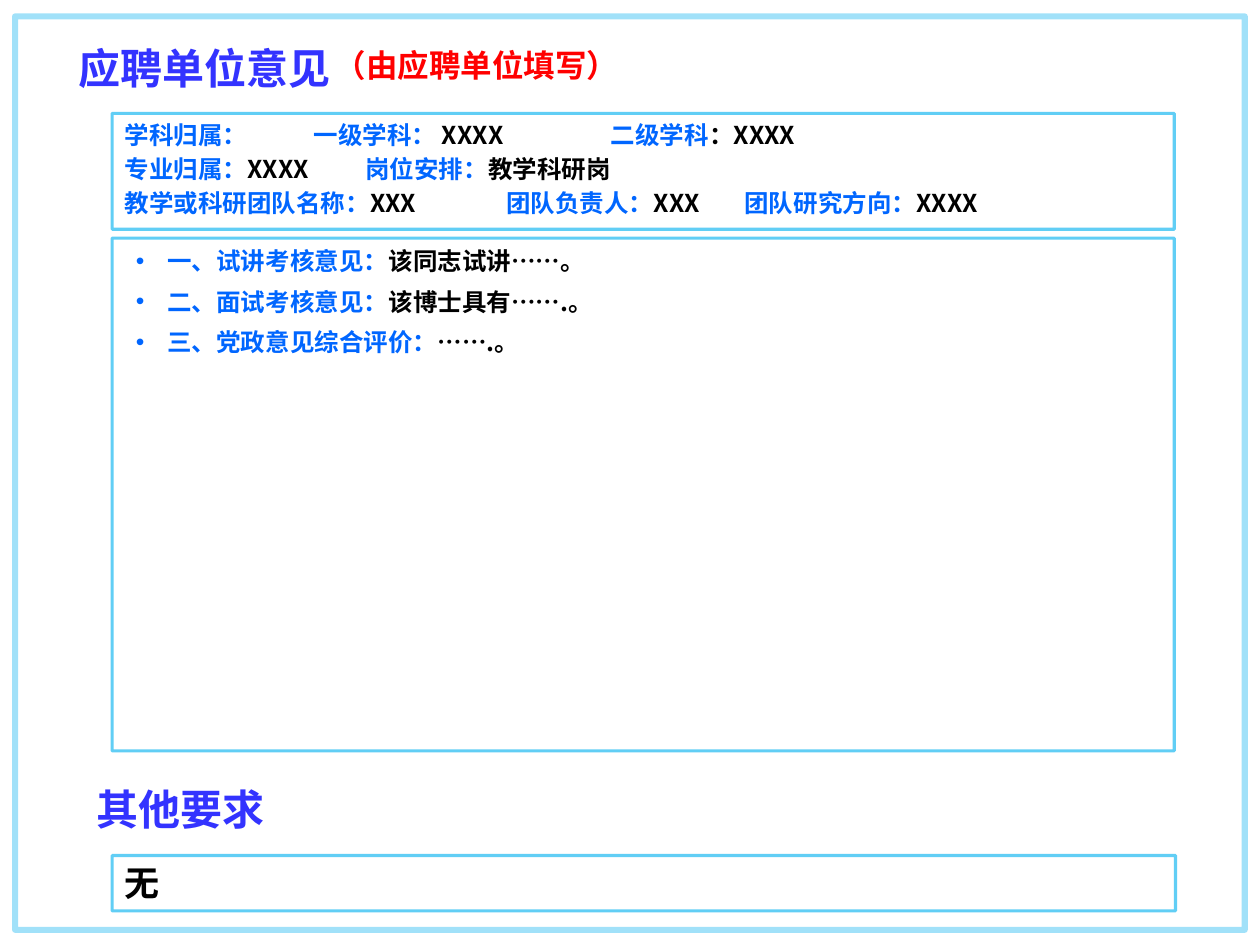
"""Build the slide with the hiring unit's opinion and other requirements."""
import pptx
import pptx.dml.color
import pptx.enum.shapes
import pptx.enum.text
import pptx.oxml.ns
import pptx.util
from lxml import etree

Inches = pptx.util.Inches
Pt = pptx.util.Pt
RGBColor = pptx.dml.color.RGBColor
qn = pptx.oxml.ns.qn
ALIGN = pptx.enum.text.PP_ALIGN
ANCHOR = pptx.enum.text.MSO_ANCHOR

INDIGO = RGBColor(0x33, 0x33, 0xFF)
RED = RGBColor(0xFF, 0x00, 0x00)
BLUE = RGBColor(0x00, 0x66, 0xFF)
BLACK = RGBColor(0x00, 0x00, 0x00)
BORDER = RGBColor(0x00, 0xB0, 0xF0)


class SlideBuilder:
    """Hold the style and the current slide."""

    font_name = "Noto Sans CJK SC"
    line_ratio = 1.2
    space_ratio = 0.2

    def __init__(self, presentation):
        self.slide = presentation.slides.add_slide(presentation.slide_layouts[5])

    def apply(self, target, values):
        for name, value in values.items():
            setattr(target, name, value)

    def place(self, shape, box):
        names = ("left", "top", "width", "height")
        self.apply(shape, dict(zip(names, map(Inches, box))))

    def fill_text(self, shape, paragraphs, size, tabs=(), bullet=None):
        frame = shape.text_frame
        self.apply(frame, {"word_wrap": True, "vertical_anchor": ANCHOR.TOP,
                           "auto_size": pptx.enum.text.MSO_AUTO_SIZE.NONE,
                           "margin_left": Inches(0.1), "margin_right": Inches(0.1),
                           "margin_top": Inches(0.05), "margin_bottom": Inches(0.05)})
        spacing = self.line_ratio ** (2 if bullet else 1)
        for index, runs in enumerate(paragraphs):
            paragraph = frame.add_paragraph() if index else frame.paragraphs[0]
            self.apply(paragraph, {"alignment": ALIGN.JUSTIFY if bullet else ALIGN.LEFT,
                                   "line_spacing": Pt(round(size * spacing, 1)),
                                   "space_before": Pt(size * self.space_ratio)})
            if tabs:
                self.add_tabs(paragraph, tabs[index])
            if bullet:
                self.add_bullet(paragraph, bullet)
            for text, color in runs:
                self.add_run(paragraph, text, size, color)

    def add_run(self, paragraph, text, size, color):
        run = paragraph.add_run()
        run.text = text
        self.apply(run.font, {"name": self.font_name, "size": Pt(size), "bold": True})
        run.font.color.rgb = color
        properties = run._r.get_or_add_rPr()
        etree.SubElement(properties, qn("a:ea"), typeface=self.font_name)

    def add_tabs(self, paragraph, positions):
        tab_list = etree.SubElement(paragraph._p.get_or_add_pPr(), qn("a:tabLst"))
        for position in positions:
            etree.SubElement(tab_list, qn("a:tab"), pos=str(Inches(position)), algn="l")

    def add_bullet(self, paragraph, character):
        properties = paragraph._p.get_or_add_pPr()
        properties.set("marL", str(Inches(0.25)))
        properties.set("indent", str(Inches(-0.25)))
        etree.SubElement(properties, qn("a:buFont"), typeface="Arial")
        etree.SubElement(properties, qn("a:buChar"), char=character)

    def title(self, box, text, size, color):
        shape = self.slide.shapes.title
        self.place(shape, box)
        self.fill_text(shape, [[(text, color)]], size)

    def text(self, box, paragraphs, size, **options):
        shape = self.slide.shapes.add_textbox(*map(Inches, box))
        self.fill_text(shape, paragraphs, size, **options)

    def panel(self, box, width=1.75, opacity=62, paragraphs=(), size=14, tabs=()):
        shape = self.slide.shapes.add_shape(
            pptx.enum.shapes.MSO_SHAPE.RECTANGLE, *map(Inches, box))
        shape.shadow.inherit = False
        shape.fill.background()
        shape.line.width = Pt(width)
        shape.line.color.rgb = BORDER
        color = shape.line._ln.find(".//" + qn("a:srgbClr"))
        etree.SubElement(color, qn("a:alpha"), val=str(opacity * 1000))
        if paragraphs:
            self.fill_text(shape, paragraphs, size, tabs)


def main():
    presentation = pptx.Presentation()
    presentation.slide_width = Inches(10)
    presentation.slide_height = Inches(7.5)
    builder = SlideBuilder(presentation)

    builder.panel((0.12, 0.13, 9.76, 7.25), width=3.5, opacity=37)
    builder.title((0.52, 0.29, 5.04, 0.51), "应聘单位意见", 24, INDIGO)
    builder.text((0.67, 6.17, 5.04, 0.51), [[("其他要求", INDIGO)]], 24)
    builder.text((2.56, 0.32, 3.62, 0.4), [[("（由应聘单位填写）", RED)]], 18)

    affiliation = [
        [("学科归属：\t一级学科：", BLUE), (" XXXX\t", BLACK),
         ("二级学科", BLUE), ("：XXXX", BLACK)],
        [("专业归属：", BLUE), ("XXXX\t", BLACK),
         ("岗位安排：", BLUE), ("教学科研岗", BLACK)],
        [("教学或科研团队名称：", BLUE), ("XXX\t", BLACK),
         ("团队负责人：", BLUE), ("XXX\t", BLACK),
         ("团队研究方向：", BLUE), ("XXXX", BLACK)],
    ]
    builder.panel((0.89, 0.9, 8.43, 0.92), paragraphs=affiliation,
                  tabs=[(1.5, 3.86), (1.91,), (3.03, 4.92)])
    builder.panel((0.89, 1.89, 8.43, 4.07))
    builder.panel((0.89, 6.79, 8.44, 0.44), paragraphs=[[("无", BLACK)]], size=20)

    opinions = [
        ("一、试讲考核意见：", "该同志试讲……。"),
        ("二、面试考核意见：", "该博士具有…….。"),
        ("三、党政意见综合评价：", "…….。"),
    ]
    builder.text((0.98, 1.86, 8.11, 1.04),
                 [[(label, BLUE), (opinion, BLACK)] for label, opinion in opinions],
                 14, bullet="•")
    presentation.save("out.pptx")


if __name__ == "__main__":
    main()
